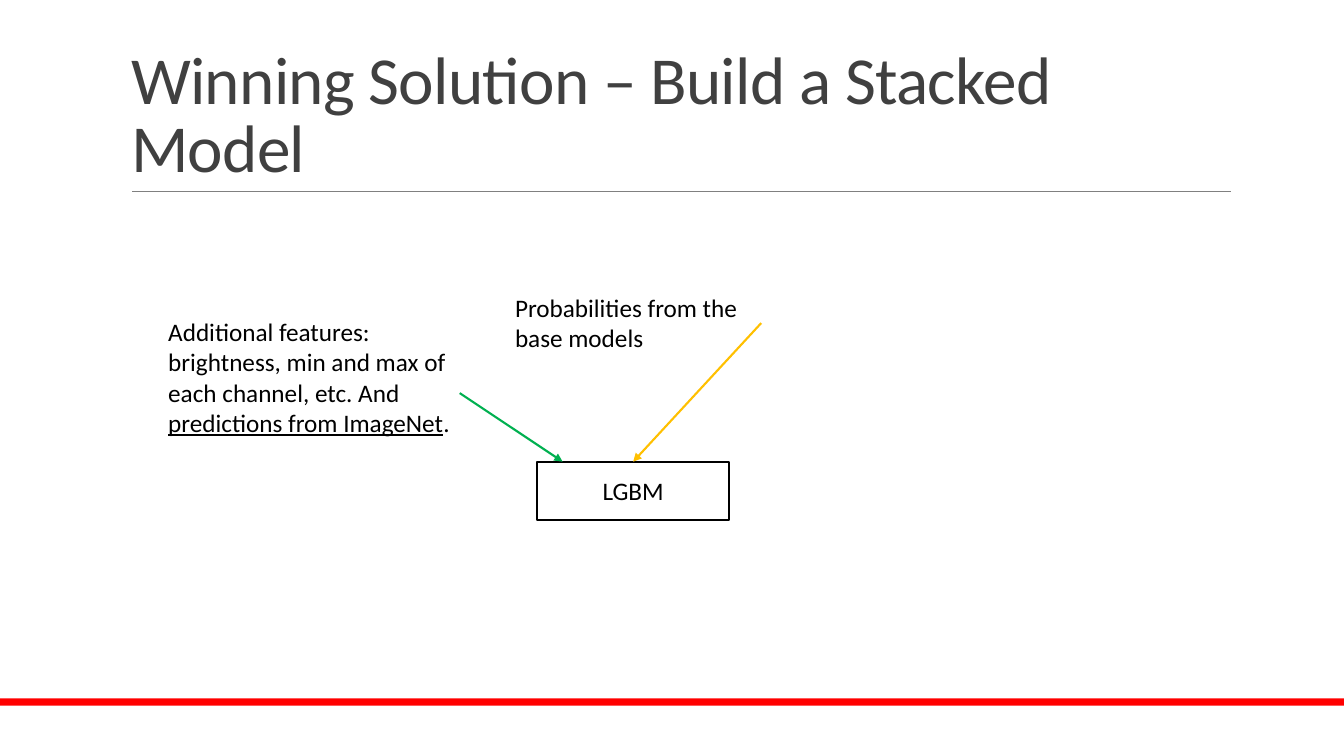
"""Build the stacked model slide."""
from dataclasses import dataclass
from typing import Any, Optional

from lxml import etree
from pptx import Presentation
from pptx.dml.color import RGBColor
from pptx.enum.shapes import MSO_CONNECTOR, MSO_SHAPE
from pptx.enum.text import MSO_ANCHOR, MSO_AUTO_SIZE, PP_ALIGN
from pptx.oxml.ns import qn
from pptx.util import Inches, Pt

RECT = MSO_SHAPE.RECTANGLE
STRAIGHT = MSO_CONNECTOR.STRAIGHT
LEFT, CENTER = PP_ALIGN.LEFT, PP_ALIGN.CENTER
TOP, MIDDLE, BOTTOM = MSO_ANCHOR.TOP, MSO_ANCHOR.MIDDLE, MSO_ANCHOR.BOTTOM
NO_FIT, GROW = MSO_AUTO_SIZE.NONE, MSO_AUTO_SIZE.SHAPE_TO_FIT_TEXT
FONT = "Calibri"
COLORS = {
    "white": "FFFFFF",
    "black": "000000",
    "title": "404040",
    "rule": "808080",
    "red": "FF0000",
    "amber": "FFC000",
    "green": "00B050",
}


@dataclass
class Note:
    """A text box whose runs are pairs of text and underline."""

    at: tuple[float, float, float, float]
    runs: list[tuple[str, bool]]


@dataclass
class Line:
    """A straight line, joined to shapes by (shape, side) where given."""

    start: tuple[float, float]
    end: tuple[float, float]
    color: str
    width: float
    arrow: bool = True
    begin_at: Optional[tuple[Any, int]] = None
    end_at: Optional[tuple[Any, int]] = None


NOTES = [
    Note((1.57, 3.09, 2.99, 1.62), [
        ("Additional features: brightness, min and max of each channel, etc. And ", False),
        ("predictions from ImageNet", True),
        (".", False),
    ]),
    Note((5.01, 2.85, 2.54, 0.71), [("Probabilities from the base models", False)]),
]


def rgb(name: str) -> RGBColor:
    """Return a named colour."""
    return RGBColor.from_string(COLORS[name])


def put_text(sp: Any, runs: list[tuple[str, bool]], *, size: float = 18,
             color: str = "black", align: PP_ALIGN = LEFT, anchor: MSO_ANCHOR = TOP,
             fit: MSO_AUTO_SIZE = NO_FIT, line_spacing: Optional[float] = None,
             tracking: Optional[int] = None) -> None:
    """Write formatted runs into a shape."""
    tf = sp.text_frame
    tf.word_wrap = True
    tf.auto_size = fit
    tf.vertical_anchor = anchor
    p = tf.paragraphs[0]
    p.alignment = align
    p.line_spacing = line_spacing
    for text, underline in runs:
        r = p.add_run()
        r.text = text
        r.font.name = FONT
        r.font.size = Pt(size)
        r.font.color.rgb = rgb(color)
        if underline:
            r.font.underline = True
        if tracking is not None:
            r.font._element.set("spc", str(tracking))


def add_box(s: Any, at: tuple[float, float, float, float], fill: str,
            line: Optional[str] = None) -> Any:
    """Add a filled rectangle with an optional outline."""
    sp = s.shapes.add_shape(RECT, *map(Inches, at))
    sp.shadow.inherit = False
    sp.fill.solid()
    sp.fill.fore_color.rgb = rgb(fill)
    if line:
        sp.line.color.rgb = rgb(line)
        sp.line.width = Pt(1.25)
    else:
        sp.line.fill.background()
    return sp


def add_note(s: Any, note: Note) -> Any:
    """Add a text box."""
    sp = s.shapes.add_textbox(*map(Inches, note.at))
    put_text(sp, note.runs, fit=GROW)
    return sp


def add_line(s: Any, line: Line) -> None:
    """Add a line or an arrow."""
    cx = s.shapes.add_connector(STRAIGHT, *map(Inches, line.start + line.end))
    if line.begin_at:
        cx.begin_connect(*line.begin_at)
    if line.end_at:
        cx.end_connect(*line.end_at)
    cx.line.color.rgb = rgb(line.color)
    cx.line.width = Pt(line.width)
    if line.arrow:
        etree.SubElement(cx.line._get_or_add_ln(), qn("a:tailEnd"), type="triangle")
    etree.SubElement(cx._element.spPr, qn("a:effectLst"))


def main() -> None:
    """Build and save the slide."""
    prs = Presentation()
    prs.slide_width, prs.slide_height = Inches(13.33), Inches(7.5)
    s = prs.slides.add_slide(prs.slide_layouts[5])

    title = s.shapes.title
    title.left, title.top = Inches(1.2), Inches(0.31)
    title.width, title.height = Inches(11), Inches(1.59)
    put_text(title, [("Winning Solution – Build a Stacked Model", False)], size=48,
             color="title", anchor=BOTTOM, line_spacing=0.85, tracking=-50)

    add_box(s, (0, 6.93, 13.33, 0.07), "red")
    model = add_box(s, (5.33, 4.58, 1.9, 0.58), "white", "black")
    put_text(model, [("LGBM", False)], align=CENTER, anchor=MIDDLE)
    features, probabilities = [add_note(s, note) for note in NOTES]

    for line in (
        Line((1.31, 1.9), (12.21, 1.9), "rule", 0.5, arrow=False),
        Line((6.28, 3.56), (6.28, 4.58), "amber", 1.5,
             begin_at=(probabilities, 3), end_at=(model, 0)),
        Line((4.59, 3.9), (5.58, 4.58), "green", 1.5, begin_at=(features, 3 - 0)),
    ):
        add_line(s, line)

    prs.save("out.pptx")


if __name__ == "__main__":
    main()
